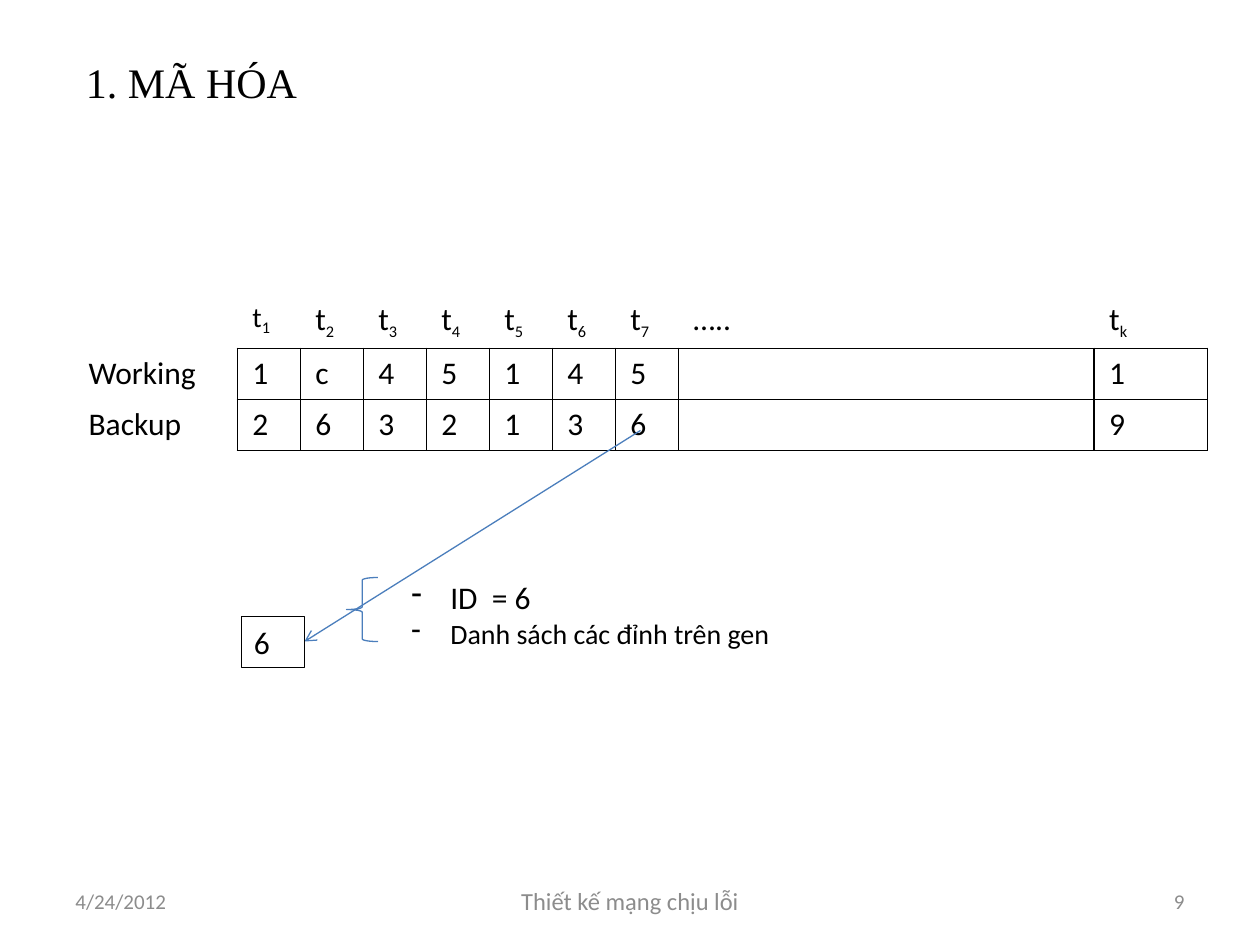
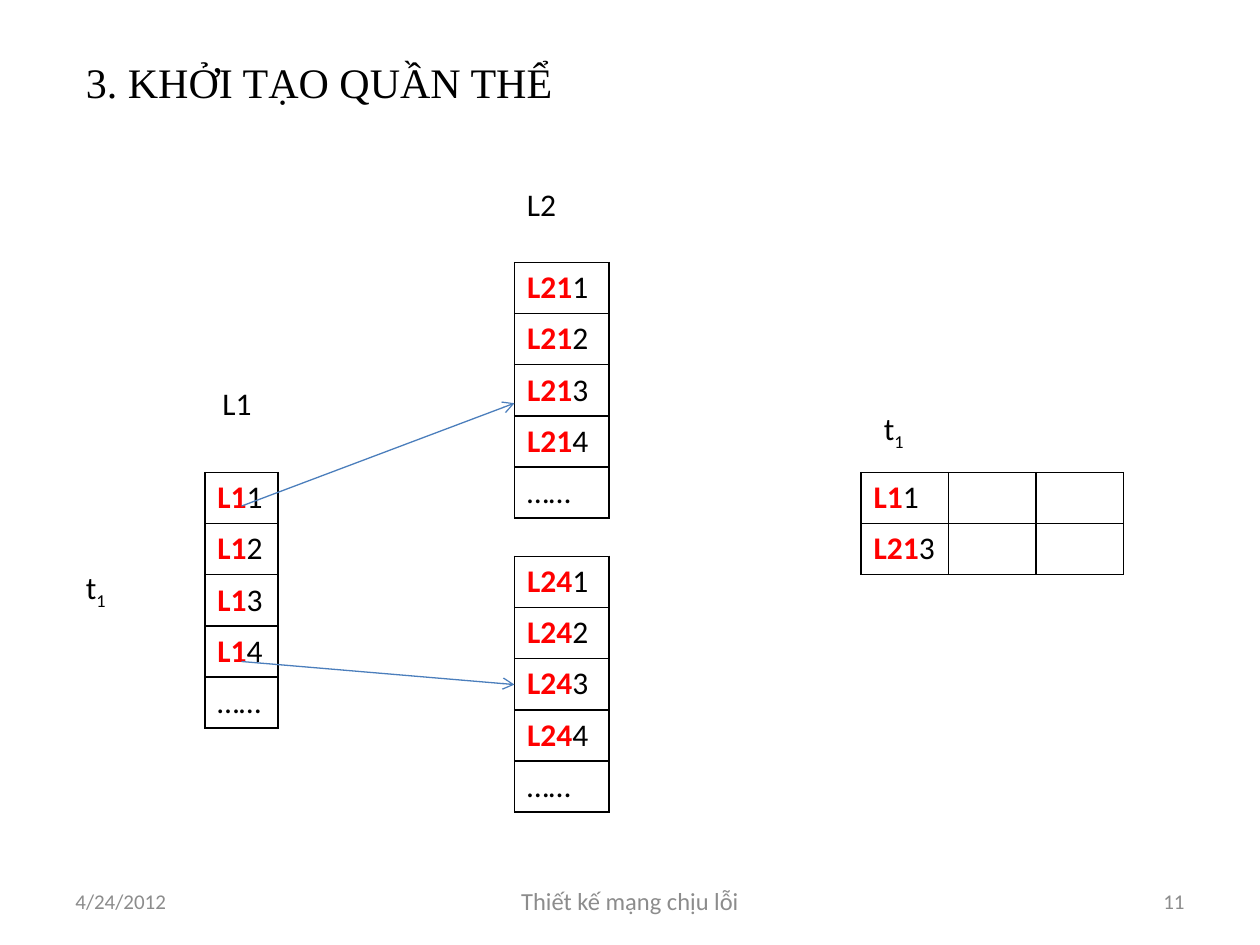
import pptx
import pptx.util
import pptx.dml.color
import pptx.enum.dml
import pptx.enum.shapes
import pptx.enum.text
import pptx.oxml
import pptx.oxml.ns
from lxml import etree

INK = {"text": "000000", "key": "FF0000", "foot": "8C8C8C", "line": "4B7EBC"}
BODY, HEAD = "Calibri", "Times New Roman"
PLAIN = "{2D5ABB26-0587-4C30-8999-92F81FD0307C}"  # no style, no grid
LEFT, MID, RIGHT = (getattr(pptx.enum.text.PP_ALIGN, side)
                    for side in ("LEFT", "CENTER", "RIGHT"))
KIND = pptx.enum.shapes.MSO_SHAPE
qn = pptx.oxml.ns.qn

deck = pptx.Presentation()
deck.slide_width = pptx.util.Inches(10)
deck.slide_height = pptx.util.Inches(7.5)
COL = deck.slide_width // 120
ROW = deck.slide_height // 90
CELL = 4.87  # height of a table row, in grid rows


def tint(name):
    return pptx.dml.color.RGBColor.from_string(INK[name])


def write(par, text, size=18, low=None, ink="text", face=BODY):
    """Fill a paragraph: 'a_b' lowers b (at size low), 'a*b' makes a red and bold."""
    par.font.name, par.font.size = face, pptx.util.Pt(size)
    par.font.color.rgb = tint(ink)
    mark = "_" if "_" in text else "*"
    parts = [par.add_run() for piece in text.split(mark) if piece]
    for run, piece in zip(parts, text.split(mark)):
        run.text = piece
    if len(parts) == 2 and mark == "_":
        parts[1].font._element.set("baseline", "-25000")
        if low:
            parts[1].font.size = pptx.util.Pt(low)
    elif len(parts) == 2:
        parts[0].font.bold = True
        parts[0].font.color.rgb = tint("key")


genes = [
    ["", *(f"t_{n}" for n in range(1, 8)), "…..", "t_k"],
    ["Working", *"1c45145", "", "1"],
    ["Backup", *"2632136", "", "9"],
]
lists = {name: [[f"{name}*{n}"] for n in range(1, 5)] + [["……"]]
         for name in ("L1", "L21", "L24")}

# tables: left, top, column widths, rows, count of unframed head rows and columns
# arrows: from x, y to x, y; labels: left, top, width, text
pages = [
    dict(title="1. MÃ HÓA", num="9",
         tables=[(7, 28, [15.6] + [6] * 7 + [39.6, 10.8], genes, 1)],
         arrows=[(61, 41, 29, 61.1)],
         labels=[]),
    dict(title="3. KHỞI TẠO QUẦN THỂ", num="11",
         tables=[(19.5, 45, [7], lists["L1"], 0),
                 (49, 25, [9], lists["L21"], 0),
                 (49, 53, [9], lists["L24"], 0),
                 (82, 45, [8.33] * 3, [["L1*1", "", ""], ["L21*3", "", ""]], 0)],
         arrows=[(23, 48.2, 49, 38.4), (23, 63, 49, 65.2)],
         labels=[(20, 36, 6, "L1"), (49, 17, 6, "L2"),
                 (83, 38.4, 7, "t_1"), (7, 53.5, 7, "t_1")]),
]

for page in pages:
    slide = deck.slides.add_slide(deck.slide_layouts[6])

    texts = [
        (7, 3.6, 107, 8.4, page["title"], 24, "text", HEAD, LEFT, True),
        (6, 83.4, 28, 4.8, "4/24/2012", 12, "foot", BODY, LEFT, True),
        (41, 83.4, 38, 4.8, "Thiết kế mạng chịu lỗi", 14, "foot", BODY, MID, True),
        (86, 83.4, 28, 4.8, page["num"], 12, "foot", BODY, RIGHT, True),
    ]
    texts += [(x, y, w, CELL, text, 18, "text", BODY, LEFT, False)
              for x, y, w, text in page["labels"]]
    for x, y, w, h, text, size, ink, face, side, mid in texts:
        frame = slide.shapes.add_textbox(
            int(x * COL), int(y * ROW), int(w * COL), int(h * ROW)).text_frame
        frame.word_wrap = True
        if mid:
            frame.vertical_anchor = pptx.enum.text.MSO_ANCHOR.MIDDLE
        frame.paragraphs[0].alignment = side
        write(frame.paragraphs[0], text, size, ink=ink, face=face)

    for x, y, widths, rows, heads in page["tables"]:
        table = slide.shapes.add_table(
            len(rows), len(widths), int(x * COL), int(y * ROW),
            int(sum(widths) * COL), int(len(rows) * CELL * ROW)).table
        table.first_row = table.horz_banding = False
        table._tbl.tblPr.find(qn("a:tableStyleId")).text = PLAIN
        for col, width in zip(table.columns, widths):
            col.width = int(width * COL)
        for r, row in enumerate(rows):
            table.rows[r].height = int(CELL * ROW)
            for c, text in enumerate(row):
                cell = table.cell(r, c)
                if heads:
                    cell.margin_left = cell.margin_right = pptx.util.Inches(0.12)
                small = text == "t_1" and heads
                write(cell.text_frame.paragraphs[0], text, 16 if small else 18, low=16)
                cell.fill.background()
                if r >= heads and c >= heads:
                    edges = "LRTB"
                else:
                    edges = "B" * (c >= heads) + "R" * (r >= heads)
                for n, edge in enumerate(edges):
                    line = pptx.oxml.parse_xml(
                        f'<a:ln{edge} {pptx.oxml.ns.nsdecls("a")} w="12700"><a:solidFill>'
                        f'<a:srgbClr val="{INK["text"]}"/></a:solidFill></a:ln{edge}>')
                    cell._tc.get_or_add_tcPr().insert(n, line)

    for ends in page["arrows"]:
        x1, y1, x2, y2 = (int(v * unit) for v, unit in zip(ends, (COL, ROW) * 2))
        arrow = slide.shapes.add_connector(
            pptx.enum.shapes.MSO_CONNECTOR.STRAIGHT, x1, y1, x2, y2)
        arrow.line.color.rgb = tint("line")
        arrow.line.width = pptx.util.Pt(0.75)
        etree.SubElement(arrow.line._get_or_add_ln(), qn("a:tailEnd"), type="arrow")
        etree.SubElement(arrow._element.spPr, qn("a:effectLst"))

# The gene picked out on the first slide
slide = deck.slides[0]
for kind, x, y, w, h, ink in ((KIND.RECTANGLE, 23, 58.7, 6, CELL, "text"),
                              (KIND.LEFT_BRACE, 33, 55, 3, 6.1, "line")):
    shape = slide.shapes.add_shape(
        kind, int(x * COL), int(y * ROW), int(w * COL), int(h * ROW))
    shape.shadow.inherit = False
    shape.fill.background()
    shape.line.color.rgb = tint(ink)
    shape.line.width = pptx.util.Pt(0.75)
    if kind == KIND.RECTANGLE:
        par = shape.text_frame.paragraphs[0]
        par.alignment = LEFT
        write(par, "6")

frame = slide.shapes.add_textbox(
    38 * COL, int(54.5 * ROW), 37 * COL, 8 * ROW).text_frame
frame.word_wrap = True
frame.add_paragraph()
facts = (("ID  = 6", 18), ("Danh sách các đỉnh trên gen", 16))
for par, (text, size) in zip(frame.paragraphs, facts):
    props = par._p.get_or_add_pPr()
    hang = int(pptx.util.Inches(0.31))
    props.set("marL", str(hang))
    props.set("indent", str(-hang))
    etree.SubElement(props, qn("a:buChar"), char="-")
    write(par, text, size)

deck.save("out.pptx")
